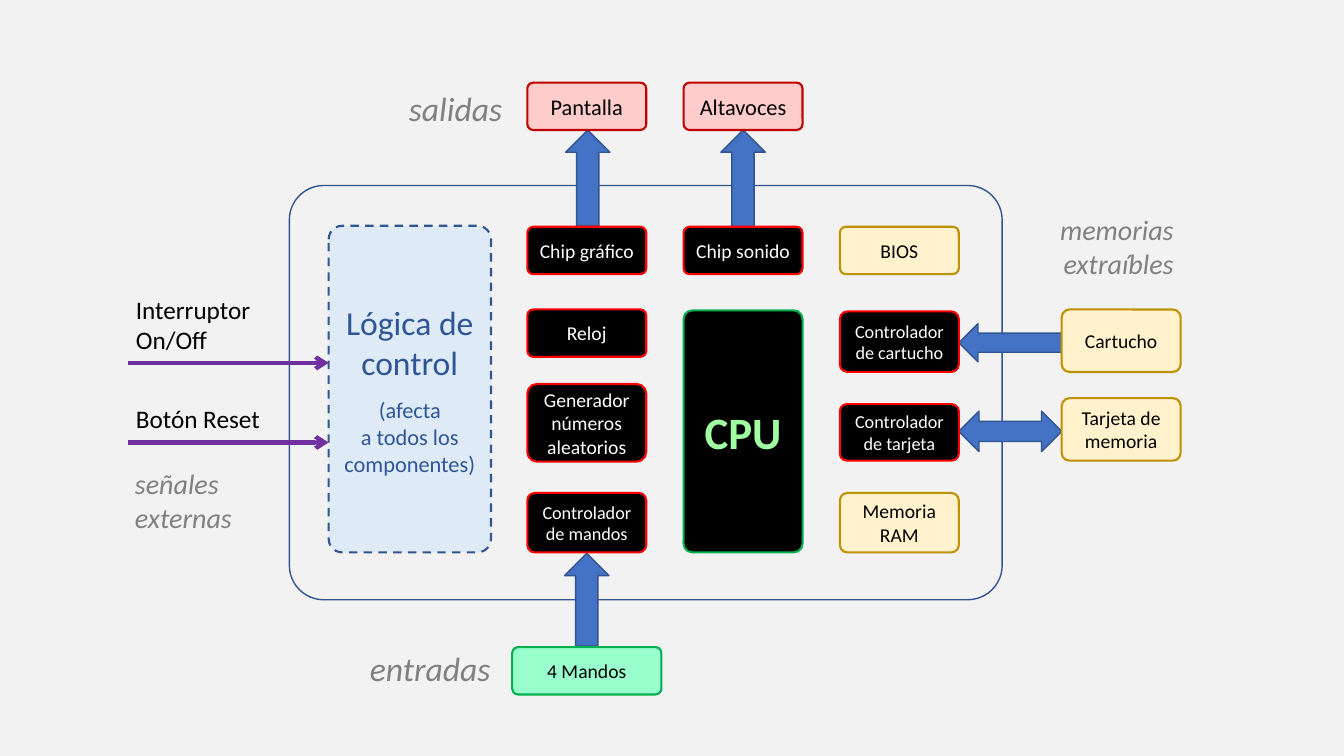
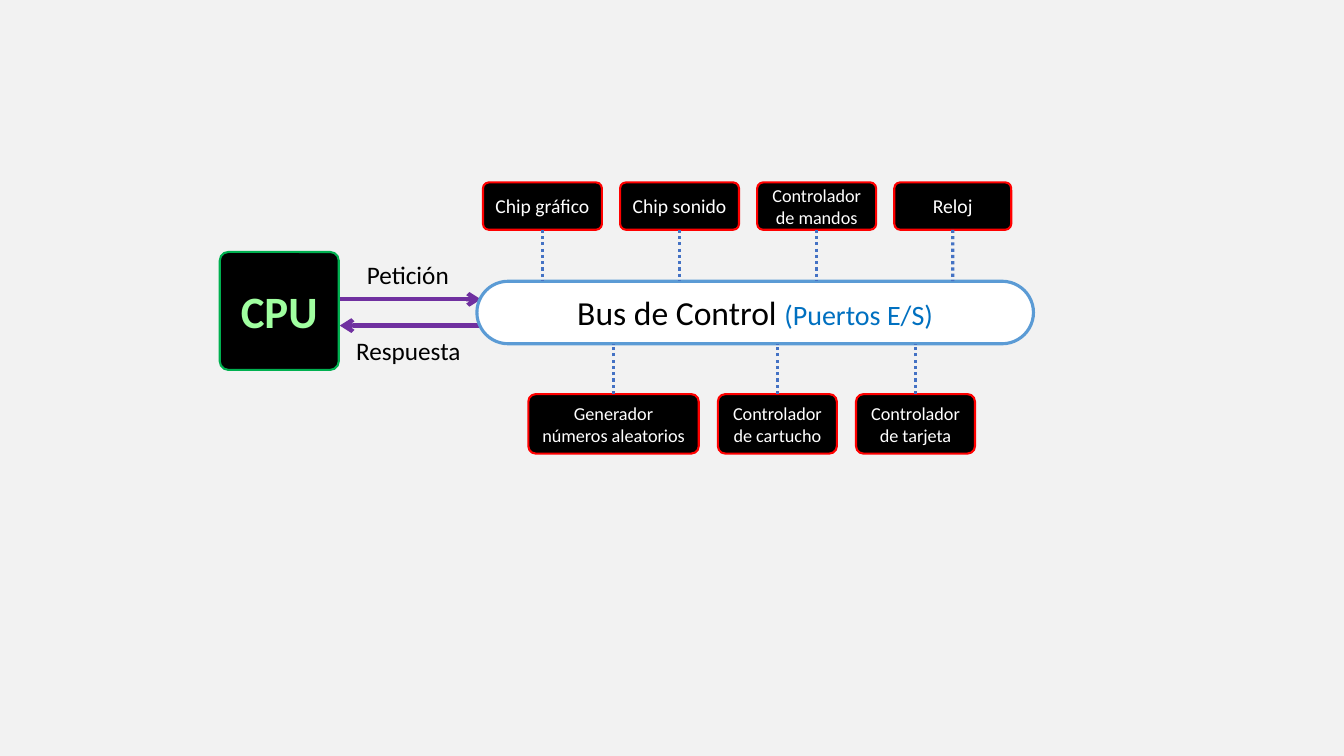
import pptx
import pptx.dml.color
import pptx.enum.dml
import pptx.enum.shapes
import pptx.enum.text
import pptx.oxml.ns
import pptx.util
from lxml import etree

Inches, Pt = pptx.util.Inches, pptx.util.Pt
RGBColor = pptx.dml.color.RGBColor
Geometry = pptx.enum.shapes.MSO_SHAPE
Align = pptx.enum.text.PP_ALIGN
Dash = pptx.enum.dml.MSO_LINE

FONT = "Calibri"
PAPER = RGBColor(0xF2, 0xF2, 0xF2)
BLACK = RGBColor(0x00, 0x00, 0x00)
WHITE = RGBColor(0xFF, 0xFF, 0xFF)
GRAY = RGBColor(0x80, 0x80, 0x80)
RED = RGBColor(0xFF, 0x00, 0x00)
DARK_RED = RGBColor(0xC0, 0x00, 0x00)
PINK = RGBColor(0xFF, 0xCC, 0xCC)
CREAM = RGBColor(0xFF, 0xF2, 0xCC)
GOLD = RGBColor(0xBF, 0x90, 0x00)
MINT = RGBColor(0x99, 0xFF, 0xCC)
GREEN = RGBColor(0x00, 0xB0, 0x50)
LIGHT_GREEN = RGBColor(0xA0, 0xFF, 0xA0)
BLUE = RGBColor(0x44, 0x72, 0xC4)
DARK_BLUE = RGBColor(0x32, 0x54, 0x91)
TEXT_BLUE = RGBColor(0x2F, 0x55, 0x97)
PALE_BLUE = RGBColor(0xDE, 0xEB, 0xF7)
BUS_BLUE = RGBColor(0x5B, 0x9B, 0xD5)
PORT_BLUE = RGBColor(0x00, 0x70, 0xC0)
PURPLE = RGBColor(0x70, 0x30, 0xA0)

# role: fill, outline, outline width, corner, font
ROLES = {
    "chip": (BLACK, RED, 1.5, 0.125, {"size": Pt(14), "color": WHITE}),
    "controller": (BLACK, RED, 1.5, 0.125, {"size": Pt(13), "color": WHITE}),
    "cpu": (BLACK, GREEN, 1.5, 0.073,
            {"size": Pt(32), "color": LIGHT_GREEN, "bold": True}),
    "memory": (CREAM, GOLD, 1.5, 0.125, {"size": Pt(14), "color": BLACK}),
    "output": (PINK, DARK_RED, 1.5, 0.125, {"size": Pt(16), "color": BLACK}),
    "input": (MINT, GREEN, 1.5, 0.125, {"size": Pt(14), "color": BLACK}),
    "console": (None, DARK_BLUE, 1, 0.083, {}),
    "logic": (PALE_BLUE, DARK_BLUE, 1.5, 0.083, {"size": Pt(24), "color": TEXT_BLUE}),
    "bus": (WHITE, BUS_BLUE, 2.25, 0.5, {"size": Pt(24), "color": BLACK}),
}
SIGNAL = {"size": Pt(18), "color": BLACK}
GROUP = {"size": Pt(24), "color": GRAY, "italic": True}
SMALL_GROUP = {**GROUP, "size": Pt(20)}

BOX_W, BOX_H = 1.18, 0.47
COLUMNS = [5.23 + 1.55 * i for i in range(3)]
SIDE_LEFT = 10.53

# column: text, role, top, height
COLUMN_BOXES = [
    [("Pantalla", "output", 0.82, BOX_H),
     ("Chip gráfico", "chip", 2.25, BOX_H),
     ("Reloj", "chip", 3.07, BOX_H),
     ("Generador números aleatorios", "chip", 3.81, 0.77),
     ("Controlador de mandos", "controller", 4.89, 0.59)],
    [("Altavoces", "output", 0.82, BOX_H),
     ("Chip sonido", "chip", 2.25, BOX_H),
     ("CPU", "cpu", 3.08, 2.4)],
    [("BIOS", "memory", 2.25, BOX_H),
     ("Controlador de cartucho", "controller", 3.09, 0.6),
     ("Controlador de tarjeta", "controller", 4.01, 0.56),
     ("Memoria RAM", "memory", 4.89, 0.59)],
]
REMOVABLE = [("Cartucho", 3.07), ("Tarjeta de memoria", 3.95)]
LOGIC_LINES = ["Lógica de control", "(afecta", "a todos los componentes)"]
BLOCK_ARROWS = [
    (Geometry.UP_ARROW, 5.61, 1.29, 0.44, 0.95),
    (Geometry.UP_ARROW, 7.15, 1.29, 0.44, 0.96),
    (Geometry.UP_ARROW, 5.6, 5.49, 0.44, 0.92),
    (Geometry.LEFT_ARROW, 9.51, 3.21, 1.02, 0.38),
    (Geometry.LEFT_RIGHT_ARROW, 9.51, 4.08, 1.02, 0.4),
]
CONSOLE_LABELS = [
    (["Interruptor On/Off"], 1.25, 2.86, 1.93, 0.71, SIGNAL, Align.LEFT),
    (["Botón Reset"], 1.25, 3.95, 1.93, 0.4, SIGNAL, Align.LEFT),
    (["señales", "externas"], 1.24, 4.58, 2.15, 0.77, SMALL_GROUP, Align.LEFT),
    (["memorias extraíbles"], 10.11, 2.06, 1.63, 0.77, SMALL_GROUP, Align.RIGHT),
    (["salidas"], 3.65, 0.82, 1.43, 0.5, GROUP, Align.RIGHT),
    (["entradas"], 3.57, 6.38, 1.54, 0.5, GROUP, Align.LEFT),
]
SIGNAL_TOPS = [3.6, 4.39]

# row: first left, top, height, gap, connection side, bus edge, boxes
BUS_TOP, BUS_H = 2.79, 0.62
BUS_ROWS = [
    (4.79, 1.81, BOX_H, 0.18, 2, BUS_TOP,
     [("Chip gráfico", "chip", BOX_W), ("Chip sonido", "chip", BOX_W),
      ("Controlador de mandos", "controller", BOX_W), ("Reloj", "chip", 1.16)]),
    (5.24, 3.91, 0.59, 0.19, 0, BUS_TOP + BUS_H,
     [("Generador números aleatorios", "controller", 1.69),
      ("Controlador de cartucho", "controller", BOX_W),
      ("Controlador de tarjeta", "controller", BOX_W)]),
]
BUS_LABELS = [
    (["Petición"], 3.45, 2.52, 1.19, 0.4, SIGNAL, Align.CENTER),
    (["Respuesta"], 3.38, 3.28, 1.34, 0.4, SIGNAL, Align.CENTER),
]
BUS_SIGNALS = [(3.37, 4.77, 2.97), (4.76, 3.37, 3.23)]


def format_font(font, values):
    font.name = FONT
    for key, value in values.items():
        if key == "color":
            font.color.rgb = value
        else:
            setattr(font, key, value)


def write(shape, lines, font, align):
    frame = shape.text_frame
    frame.word_wrap = True
    frame.vertical_anchor = pptx.enum.text.MSO_ANCHOR.MIDDLE
    for i, line in enumerate(lines):
        paragraph = frame.add_paragraph() if i else frame.paragraphs[0]
        paragraph.alignment = align
        run = paragraph.add_run()
        run.text = line
        format_font(run.font, font)


def add_form(slide, geometry, place, fill, outline, width):
    shape = slide.shapes.add_shape(geometry, *map(Inches, place))
    shape.shadow.inherit = False
    if fill is None:
        shape.fill.background()
    else:
        shape.fill.solid()
        shape.fill.fore_color.rgb = fill
    shape.line.color.rgb = outline
    shape.line.width = Pt(width)
    return shape


def add_box(slide, role, lines, *place):
    fill, outline, width, corner, font = ROLES[role]
    box = add_form(slide, Geometry.ROUNDED_RECTANGLE, place, fill, outline, width)
    box.adjustments[0] = corner
    write(box, lines, font, Align.CENTER)
    return box


def add_labels(slide, labels):
    for lines, left, top, width, height, font, align in labels:
        label = slide.shapes.add_textbox(*map(Inches, (left, top, width, height)))
        write(label, lines, font, align)
        label.text_frame.auto_size = pptx.enum.text.MSO_AUTO_SIZE.SHAPE_TO_FIT_TEXT


def add_line(slide, start, end, color, width, dash=None, arrow=False):
    line = slide.shapes.add_connector(
        pptx.enum.shapes.MSO_CONNECTOR.STRAIGHT, *map(Inches, start + end))
    line.line.color.rgb = color
    line.line.width = Pt(width)
    if dash:
        line.line.dash_style = dash
    properties = line._element.spPr
    qn = pptx.oxml.ns.qn
    if arrow:
        etree.SubElement(properties.find(qn("a:ln")), qn("a:tailEnd"), type="arrow")
    etree.SubElement(properties, qn("a:effectLst"))
    return line


def build_console(slide):
    add_labels(slide, CONSOLE_LABELS)
    add_box(slide, "console", [], 2.87, 1.84, 7.07, 4.11)
    for geometry, *place in BLOCK_ARROWS:
        add_form(slide, geometry, place, BLUE, DARK_BLUE, 1)
    for left, boxes in zip(COLUMNS, COLUMN_BOXES):
        for text, role, top, height in boxes:
            add_box(slide, role, [text], left, top, BOX_W, height)
    for text, top in REMOVABLE:
        add_box(slide, "memory", [text], SIDE_LEFT, top, BOX_W, 0.62)
    add_box(slide, "input", ["4 Mandos"], 5.08, 6.42, 1.48, BOX_H)

    logic = add_box(slide, "logic", LOGIC_LINES, 3.26, 2.24, 1.61, 3.24)
    logic.line.dash_style = Dash.DASH
    scope = logic.text_frame.paragraphs[1:]
    scope[0].space_before = Pt(10)
    for paragraph in scope:
        paragraph.runs[0].font.size = Pt(16)
    for top in SIGNAL_TOPS:
        add_line(slide, (1.27, top), (3.26, top), PURPLE, 3, arrow=True)


def build_bus(slide):
    add_box(slide, "cpu", ["CPU"], 2.18, 2.5, BOX_W, 1.17)
    add_labels(slide, BUS_LABELS)
    for start, end, top in BUS_SIGNALS:
        add_line(slide, (start, top), (end, top), PURPLE, 3, arrow=True)

    bus = add_box(slide, "bus", ["Bus de Control "], 4.73, BUS_TOP, 5.52, BUS_H)
    ports = bus.text_frame.paragraphs[0].add_run()
    ports.text = "(Puertos E/S)"
    format_font(ports.font, {"size": Pt(20), "color": PORT_BLUE})

    for left, top, height, gap, side, bus_edge, boxes in BUS_ROWS:
        for text, role, width in boxes:
            box = add_box(slide, role, [text], left, top, width, height)
            middle = left + width / 2
            link = add_line(slide, (middle, top), (middle, bus_edge),
                            BLUE, 2.25, dash=Dash.ROUND_DOT)
            link.begin_connect(box, side)
            left += width + gap


def main():
    deck = pptx.Presentation()
    deck.slide_width, deck.slide_height = Inches(13.33), Inches(7.5)
    background = deck.slide_master.background.fill
    background.solid()
    background.fore_color.rgb = PAPER
    blank = deck.slide_layouts[6]
    for build in (build_console, build_bus):
        build(deck.slides.add_slide(blank))
    deck.save("out.pptx")


if __name__ == "__main__":
    main()
